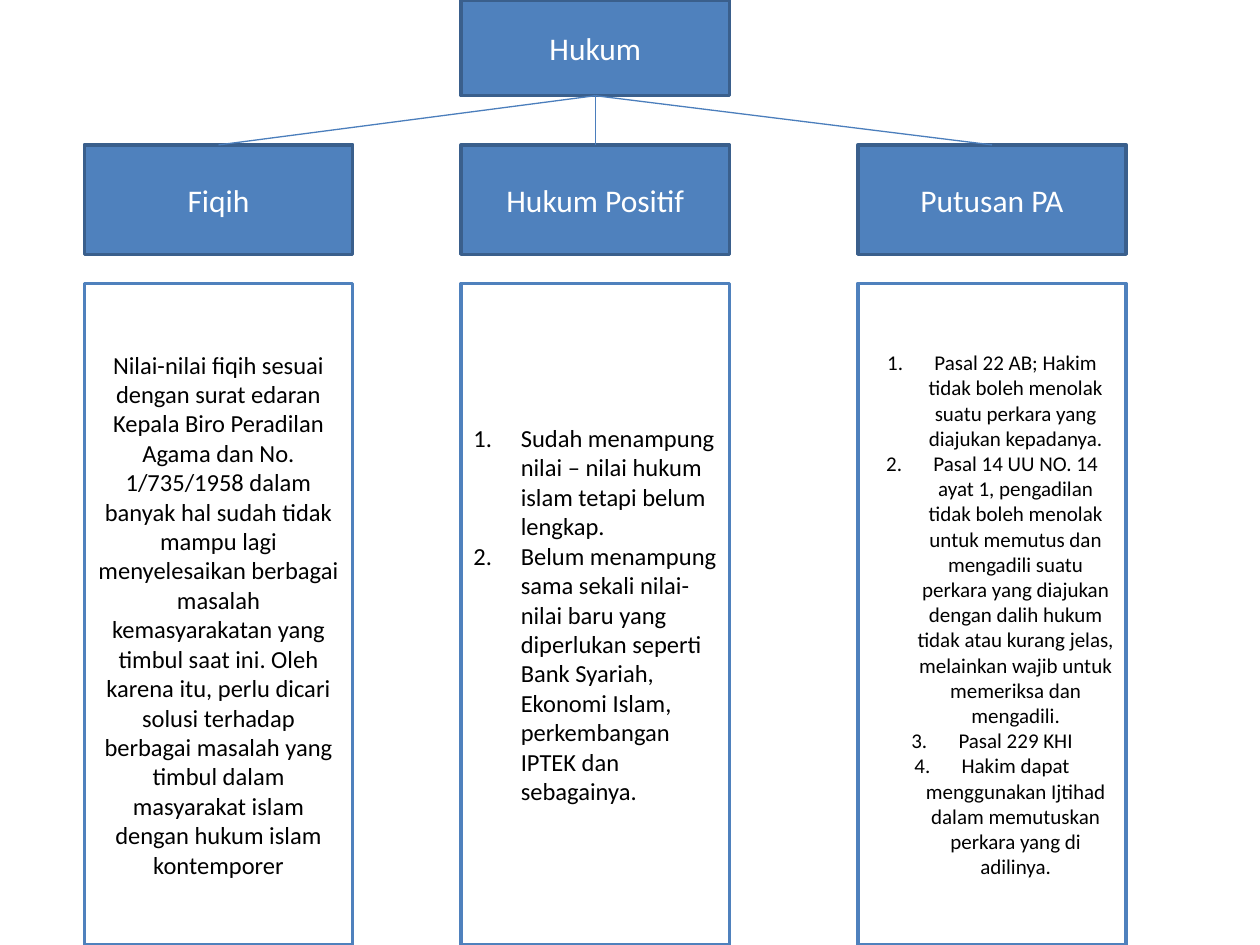
import pptx
import pptx.util
import pptx.dml.color
import pptx.enum.shapes
import pptx.enum.text
import lxml.etree
from dataclasses import dataclass

Pt = pptx.util.Pt
Align = pptx.enum.text.PP_ALIGN


@dataclass
class Theme:
    font: str = "Calibri"
    blue: str = "4F81BD"
    border: str = "3A5F8C"
    connector: str = "4B7EBC"
    white: str = "FFFFFF"
    black: str = "000000"
    heading: int = 18
    body: int = 14
    small: int = 12


theme = Theme()


def color(value):
    return pptx.dml.color.RGBColor.from_string(value)


def add_box(left, top, height, texts, fill, line, ink, size, align=Align.CENTER, numbered=False):
    box = slide.shapes.add_shape(
        pptx.enum.shapes.MSO_SHAPE.RECTANGLE, Pt(left), Pt(top), Pt(box_width), Pt(height))
    box.shadow.inherit = False
    box.fill.solid()
    box.fill.fore_color.rgb = color(fill)
    box.line.color.rgb = color(line)
    box.line.width = Pt(2)
    frame = box.text_frame
    frame.word_wrap = True
    frame.vertical_anchor = pptx.enum.text.MSO_ANCHOR.MIDDLE
    for index, text in enumerate(texts):
        para = frame.paragraphs[0] if index == 0 else frame.add_paragraph()
        para.text = text
        para.alignment = align
        para.font.name = theme.font
        para.font.size = Pt(size)
        para.font.color.rgb = color(ink)
        if numbered:
            properties = para._p.get_or_add_pPr()
            properties.set("marL", str(Pt(27)))
            properties.set("indent", str(Pt(-27)))
            bullet = lxml.etree.Element(pptx.oxml.ns.qn("a:buAutoNum"), type="arabicPeriod")
            properties.insert(0, bullet)


deck = pptx.Presentation()
deck.slide_width = Pt(720)
deck.slide_height = Pt(540)
slide = deck.slides.add_slide(deck.slide_layouts[6])

box_width = 153.4
root_left = 263.5
root_height = 54.7
heading_top, heading_height = 82.8, 62.6
body_top = 162
body_height = 540 - body_top

columns = [
    (48.2, "Fiqih", theme.body, Align.CENTER, False, [
        "Nilai-nilai fiqih sesuai dengan surat edaran Kepala Biro Peradilan Agama dan No. "
        "1/735/1958 dalam banyak hal sudah tidak mampu lagi menyelesaikan berbagai masalah "
        "kemasyarakatan yang timbul saat ini. Oleh karena itu, perlu dicari solusi terhadap "
        "berbagai masalah yang timbul dalam masyarakat islam dengan hukum islam kontemporer"]),
    (root_left, "Hukum Positif", theme.body, Align.LEFT, True, [
        "Sudah menampung nilai – nilai hukum islam tetapi belum lengkap.",
        "Belum menampung sama sekali nilai-nilai baru yang diperlukan seperti Bank Syariah, "
        "Ekonomi Islam, perkembangan IPTEK dan sebagainya."]),
    (490.2, "Putusan PA", theme.small, Align.CENTER, True, [
        "Pasal 22 AB; Hakim tidak boleh menolak suatu perkara yang diajukan kepadanya.",
        "Pasal 14 UU NO. 14 ayat 1, pengadilan tidak boleh menolak untuk memutus dan mengadili "
        "suatu perkara yang diajukan dengan dalih hukum tidak atau kurang jelas, melainkan "
        "wajib untuk memeriksa dan mengadili.",
        "Pasal 229 KHI",
        "Hakim dapat menggunakan Ijtihad dalam memutuskan perkara yang di adilinya."]),
]

add_box(root_left, 0, root_height, ["Hukum"],
        theme.blue, theme.border, theme.white, theme.heading)

for left, heading, size, align, numbered, texts in columns:
    add_box(left, heading_top, heading_height, [heading],
            theme.blue, theme.border, theme.white, theme.heading)
    add_box(left, body_top, body_height, texts,
            theme.white, theme.blue, theme.black, size, align, numbered)
    branch = slide.shapes.add_connector(
        pptx.enum.shapes.MSO_CONNECTOR.STRAIGHT,
        Pt(root_left + box_width / 2), Pt(root_height),
        Pt(left + box_width / 2), Pt(heading_top))
    branch.line.color.rgb = color(theme.connector)
    branch.line.width = Pt(0.75)
    lxml.etree.SubElement(branch._element.spPr, pptx.oxml.ns.qn("a:effectLst"))

deck.save("out.pptx")
